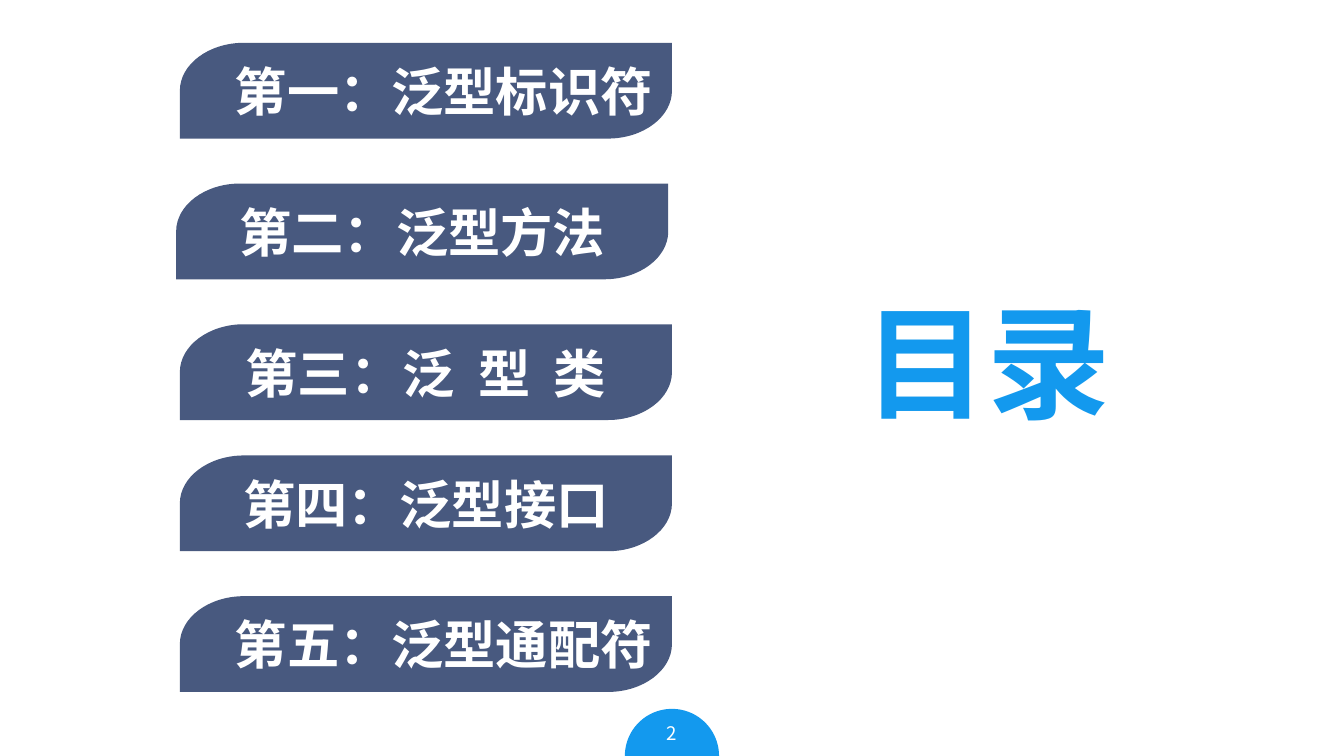
import lxml.etree
import pptx
import pptx.dml.color
import pptx.enum.shapes
import pptx.enum.text
import pptx.oxml.ns
import pptx.util
from pptx.util import Cm

FONT = "Noto Sans CJK SC"
BLUE = "1399EE"
NAVY = "48597F"
WHITE = "FFFFFF"
BANNER_WIDTH = 9.3
BANNER_HEIGHT = 1.81
CORNER_WIDTH = 1.21
CURVE_RATIO = 0.55
WORD_GAP = 6.3


def color(hex_string):
    """Turn a hex string into a colour."""
    return pptx.dml.color.RGBColor.from_string(hex_string)


def paint(shape, hex_string):
    """Give a shape a flat fill without line or shadow."""
    shape.shadow.inherit = False
    shape.fill.solid()
    shape.fill.fore_color.rgb = color(hex_string)
    shape.line.fill.background()


def add_run(paragraph, text, size, hex_string, bold=False, spacing=0):
    """Add one formatted run, with optional letter spacing in points."""
    run = paragraph.add_run()
    run.text = text
    run.font.size = pptx.util.Pt(size)
    run.font.bold = bold
    run.font.color.rgb = color(hex_string)
    run.font.name = FONT
    properties = run.font._element
    east_asian = lxml.etree.SubElement(properties, pptx.oxml.ns.qn("a:ea"))
    east_asian.set("typeface", FONT)
    if spacing:
        properties.set("spc", str(round(spacing * 100)))


def round_segment(segment, start, corner, end):
    """Replace a straight path segment by a curve around a corner."""
    curve = lxml.etree.Element(pptx.oxml.ns.qn("a:cubicBezTo"))
    controls = [
        [p + (c - p) * CURVE_RATIO for p, c in zip(point, corner)]
        for point in (start, end)
    ]
    for x, y in controls + [end]:
        point = lxml.etree.SubElement(curve, pptx.oxml.ns.qn("a:pt"))
        point.set("x", str(Cm(x)))
        point.set("y", str(Cm(y)))
    segment.getparent().replace(segment, curve)


def build_banner_outline(slide, left, top):
    """Build a rectangle whose top left and bottom right are rounded."""
    width, height, middle = BANNER_WIDTH, BANNER_HEIGHT, BANNER_HEIGHT / 2
    top_start, left_end = (CORNER_WIDTH, 0), (0, middle)
    right_end, bottom_start = (width, middle), (width - CORNER_WIDTH, height)
    outline = [top_start, (width, 0), right_end, bottom_start,
               (0, height), left_end, top_start]
    points = [(Cm(x), Cm(y)) for x, y in outline]
    builder = slide.shapes.build_freeform(*points[0])
    builder.add_line_segments(points[1:], close=True)
    shape = builder.convert_to_shape(Cm(left), Cm(top))
    segments = list(shape._element.iter(pptx.oxml.ns.qn("a:lnTo")))
    round_segment(segments[2], right_end, (width, height), bottom_start)
    round_segment(segments[5], left_end, (0, 0), top_start)
    return shape


def add_banner(slide, left, top, text, indent):
    """Add a chapter banner with two opposite rounded corners."""
    shape = build_banner_outline(slide, left, top)
    paint(shape, NAVY)
    frame = shape.text_frame
    frame.word_wrap = True
    frame.vertical_anchor = pptx.enum.text.MSO_ANCHOR.MIDDLE
    frame.margin_left, frame.margin_right = Cm(indent), 0
    paragraph = frame.paragraphs[0]
    paragraph.alignment = pptx.enum.text.PP_ALIGN.CENTER
    for index, word in enumerate(text.split(" ")):
        if index:
            add_run(paragraph, " ", 28, WHITE, True, WORD_GAP)
        add_run(paragraph, word, 28, WHITE, True)


def add_label(slide, box, text, size, hex_string, bold, alignment, wrap):
    """Add a one-line text box; the box is left, top, width, height in cm."""
    frame = slide.shapes.add_textbox(*map(Cm, box)).text_frame
    frame.word_wrap = wrap
    paragraph = frame.paragraphs[0]
    paragraph.alignment = alignment
    add_run(paragraph, text, size, hex_string, bold)


def add_half_disc(slide, left, top, diameter):
    """Add the upper half of a disc."""
    shape = slide.shapes.add_shape(
        pptx.enum.shapes.MSO_SHAPE.PIE,
        Cm(left), Cm(top), Cm(diameter), Cm(diameter))
    shape.adjustments[0] = 108
    shape.adjustments[1] = 0
    paint(shape, BLUE)


def main():
    """Build the contents slide."""
    presentation = pptx.Presentation()
    presentation.slide_width = Cm(25.4)
    presentation.slide_height = Cm(14.29)
    slide = presentation.slides.add_slide(presentation.slide_layouts[6])
    align = pptx.enum.text.PP_ALIGN
    add_half_disc(slide, 11.81, 13.4, 1.78)
    chapters = [
        (3.4, 0.81, "第一：泛型标识符", 0.67),
        (3.33, 3.47, "第二：泛型方法", 0),
        (3.4, 6.13, "第三：泛 型 类", 0),
        (3.4, 8.61, "第四：泛型接口", 0),
        (3.4, 11.27, "第五：泛型通配符", 0.67),
    ]
    for left, top, text, indent in chapters:
        add_banner(slide, left, top, text, indent)
    add_label(slide, (16.08, 5.28, 5.21, 3.07), "目录", 66, BLUE, True,
              align.LEFT, False)
    add_label(slide, (12.16, 13.52, 1.07, 0.76), "2", 10, WHITE, False,
              align.CENTER, True)
    presentation.save("out.pptx")


if __name__ == "__main__":
    main()
